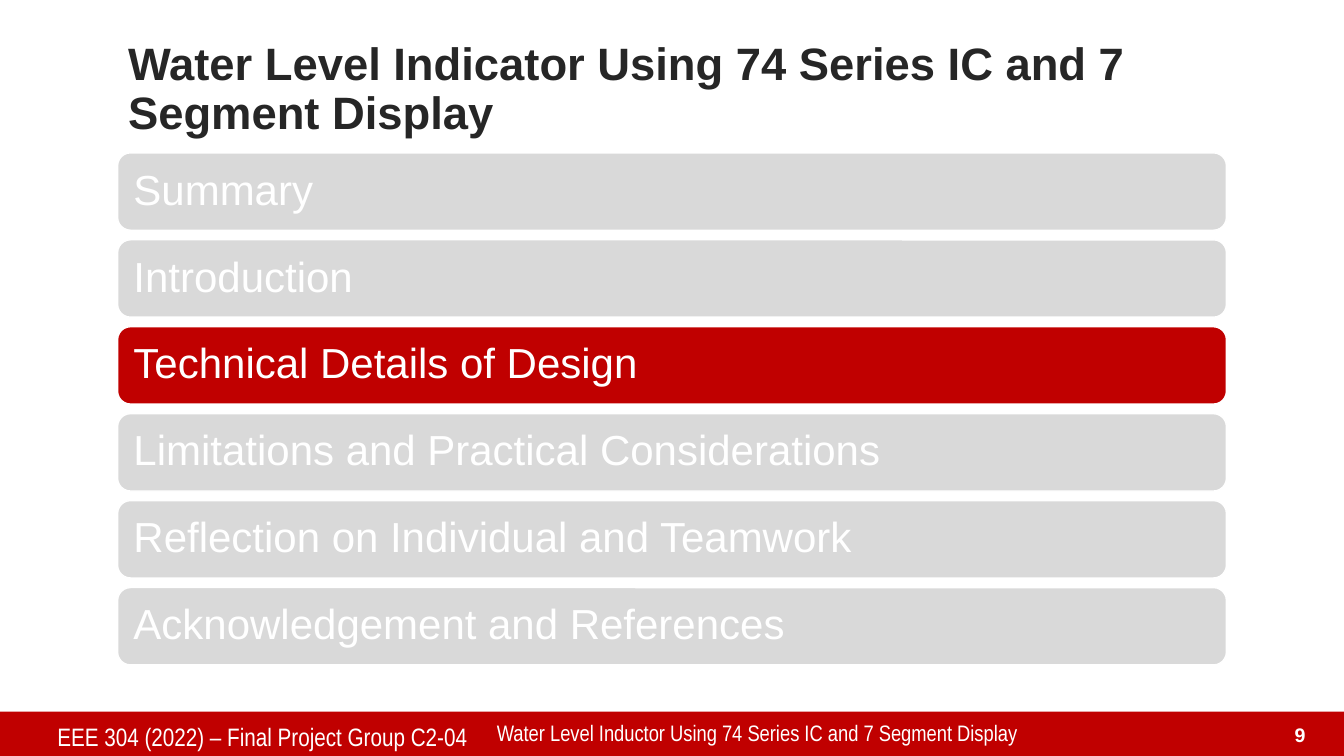
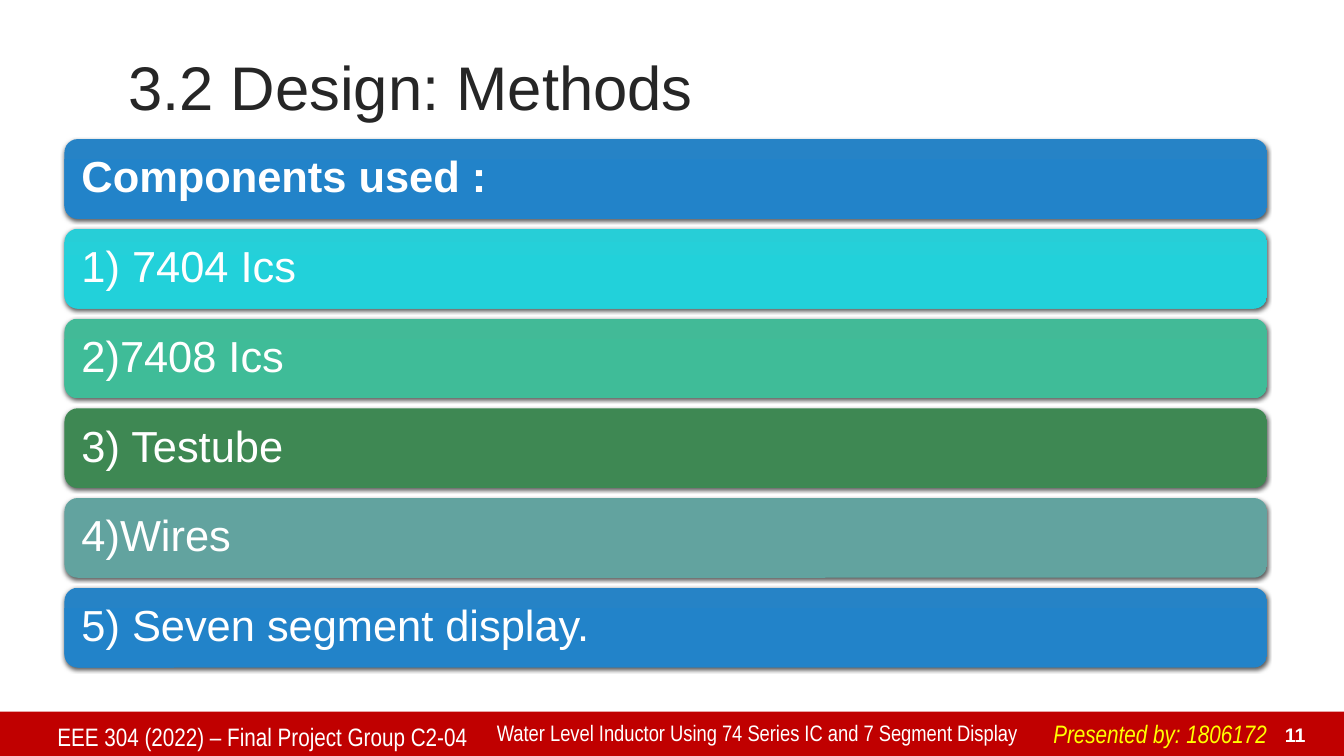
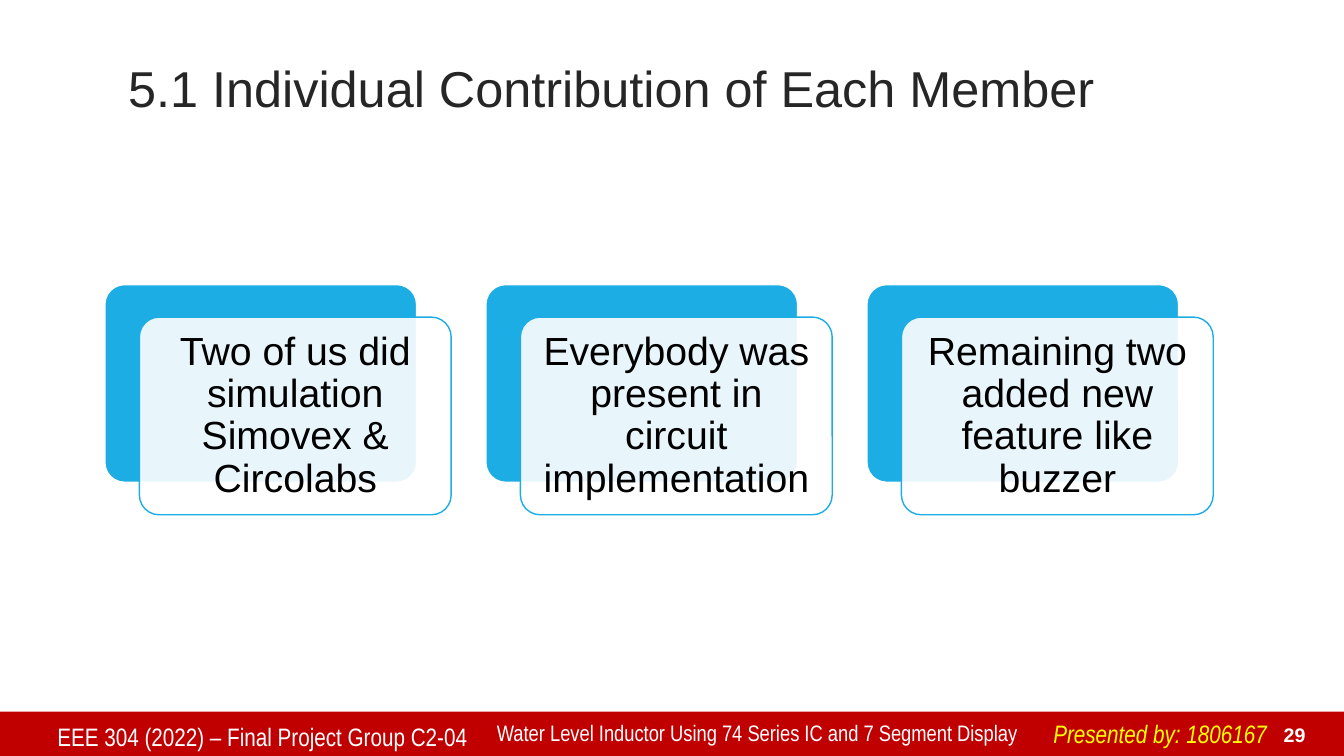
"""Build three project slides: an outline, a parts list and member roles."""
from lxml.etree import SubElement
from pptx import Presentation
from pptx.dml.color import RGBColor
from pptx.enum.shapes import MSO_SHAPE as Form
from pptx.enum.text import MSO_ANCHOR as Anchor, MSO_AUTO_SIZE as Fit, PP_ALIGN as Align
from pptx.oxml.ns import qn
from pptx.util import Inches, Pt

hue = RGBColor.from_string
RED, GREY, WHITE, INK = "C00000", "D9D9D9", "FFFFFF", "262626"
BLUE, BLACK, YELLOW = "1CADE4", "000000", "FFFF00"
SANS, SLIM = "Arial", "Arial Narrow"

deck = Presentation()
deck.slide_width, deck.slide_height = Inches(13.33), Inches(7.5)
col, row = deck.slide_width / 100, deck.slide_height / 100


def box(slide, form, place, fill=None, edge=None):
    """Add a shape, or a text box if form is None, placed in percent of the slide."""
    x, y, w, h = place
    area = int(x * col), int(y * row), int(w * col), int(h * row)
    if form is None:
        return slide.shapes.add_textbox(*area)
    shape = slide.shapes.add_shape(form, *area)
    shape.shadow.inherit = False
    if fill:
        shape.fill.solid()
        shape.fill.fore_color.rgb = hue(fill)
    if edge:
        shape.line.color.rgb = hue(edge)
        shape.line.width = Pt(1)
    else:
        shape.line.fill.background()
    return shape


def write(shape, text, size, ink, face=SANS, align=Align.LEFT, anchor=Anchor.TOP,
          bold=False, slant=False, pad=None, lead=None, wrap=True):
    """Write one run of text in a shape."""
    frame = shape.text_frame
    frame.word_wrap, frame.auto_size, frame.vertical_anchor = wrap, Fit.NONE, anchor
    if pad:
        frame.margin_left = frame.margin_right = Inches(pad)
        frame.margin_top = frame.margin_bottom = Inches(pad)
    para = frame.paragraphs[0]
    para.alignment, para.line_spacing = align, lead
    run = para.add_run()
    run.text = text
    font = run.font
    font.name, font.size, font.bold, font.italic = face, Pt(size), bold, slant
    font.color.rgb = hue(ink)


heads = [
    ("Water Level Indicator Using 74 Series IC and 7 Segment Display", 32.4, True, "9", None),
    ("3.2 Design: Methods", 44, False, "11", "Presented by: 1806172"),
    ("5.1 Individual Contribution of Each Member", 36, False, "29", "Presented by: 1806167"),
]
slides = []
for head, size, bold, page, guest in heads:
    slide = deck.slides.add_slide(deck.slide_layouts[5])
    slides.append(slide)
    box(slide, Form.RECTANGLE, (0, 94.13, 100, 5.87), RED)
    title = slide.shapes.title
    title.left, title.top = int(8.78 * col), int(6.67 * row)
    title.width, title.height = int(82.5 * col), int(10.67 * row)
    write(title, head, size, INK, anchor=Anchor.MIDDLE, bold=bold, lead=0.9)
    write(box(slide, None, (3.53, 94.8, 32.6, 5.2)),
          "EEE 304 (2022) – Final Project Group C2-04", 18, WHITE, SLIM)
    write(box(slide, None, (36.23, 94.53, 41.4, 4.8)),
          "Water Level Inductor Using 74 Series IC and 7 Segment Display", 16, WHITE, SLIM)
    write(box(slide, None, (93.6, 94.8, 4.28, 4.53)), page, 14, WHITE,
          align=Align.RIGHT, anchor=Anchor.BOTTOM, bold=True)
    if guest:
        write(box(slide, None, (77.63, 94.4, 17.63, 5.33)), guest, 18, YELLOW, SLIM,
              slant=True, wrap=False)
outline, parts, roles = slides

topics = ["Summary", "Introduction", "Technical Details of Design",
          "Limitations and Practical Considerations",
          "Reflection on Individual and Teamwork", "Acknowledgement and References"]
for i, topic in enumerate(topics):
    fill = RED if i == 2 else GREY
    bar = box(outline, Form.ROUNDED_RECTANGLE, (8.75, 20.22 + 11.5 * i, 82.5, 10.23), fill, WHITE)
    write(bar, topic, 30, WHITE, anchor=Anchor.MIDDLE, pad=0.12, lead=0.9)

items = [
    ("Components used :", "2683C6", "2283C9"),
    ("1) 7404 Ics", "27CED7", "22D1DA"),
    ("2)7408 Ics", "42BA97", "3FBC98"),
    ("3) Testube", "3E8853", "3C8952"),
    ("4)Wires", "62A39F", "60A4A0"),
    ("5) Seven segment display.", "2683C6", "2283C9"),
]
for i, (item, top, low) in enumerate(items):
    bar = box(parts, Form.ROUNDED_RECTANGLE, (4.8, 18.4 + 11.87 * i, 89.48, 10.55))
    bar.fill.gradient()
    bar.fill.gradient_angle = 270
    for stop, tone, spot in zip(bar.fill.gradient_stops, (top, low), (0, 0.5)):
        stop.color.rgb = hue(tone)
        stop.position = spot
    glow = bar._element.spPr.find(qn("a:effectLst"))
    shade = SubElement(glow, qn("a:outerShdw"), blurRad=str(Pt(3)), dist=str(Pt(1)),
                       dir="5400000", algn="ctr", rotWithShape="0")
    tone = SubElement(shade, qn("a:srgbClr"), val=BLACK)
    SubElement(tone, qn("a:alpha"), val="63000")
    write(bar, item, 31, WHITE, anchor=Anchor.MIDDLE, bold=i == 0, pad=0.13, lead=0.9)

tasks = ["Two of us did simulation Simovex & Circolabs",
         "Everybody was present in circuit implementation",
         "Remaining two added new feature like buzzer"]
for i, task in enumerate(tasks):
    x, y, w, h = 7.8 + 28.35 * i, 37.65, 23.2, 26.15
    back = box(roles, Form.ROUNDED_RECTANGLE, (x, y, w, h), BLUE, WHITE)
    card = box(roles, Form.ROUNDED_RECTANGLE, (x + 2.57, y + 4.3, w, h), WHITE, BLUE)
    back.adjustments[0] = card.adjustments[0] = 0.1
    tone = card._element.spPr.find(qn("a:solidFill")).find(qn("a:srgbClr"))
    SubElement(tone, qn("a:alpha"), val="90000")
    write(card, task, 28, BLACK, align=Align.CENTER, anchor=Anchor.MIDDLE, pad=0.12, lead=0.9)

deck.save("out.pptx")
